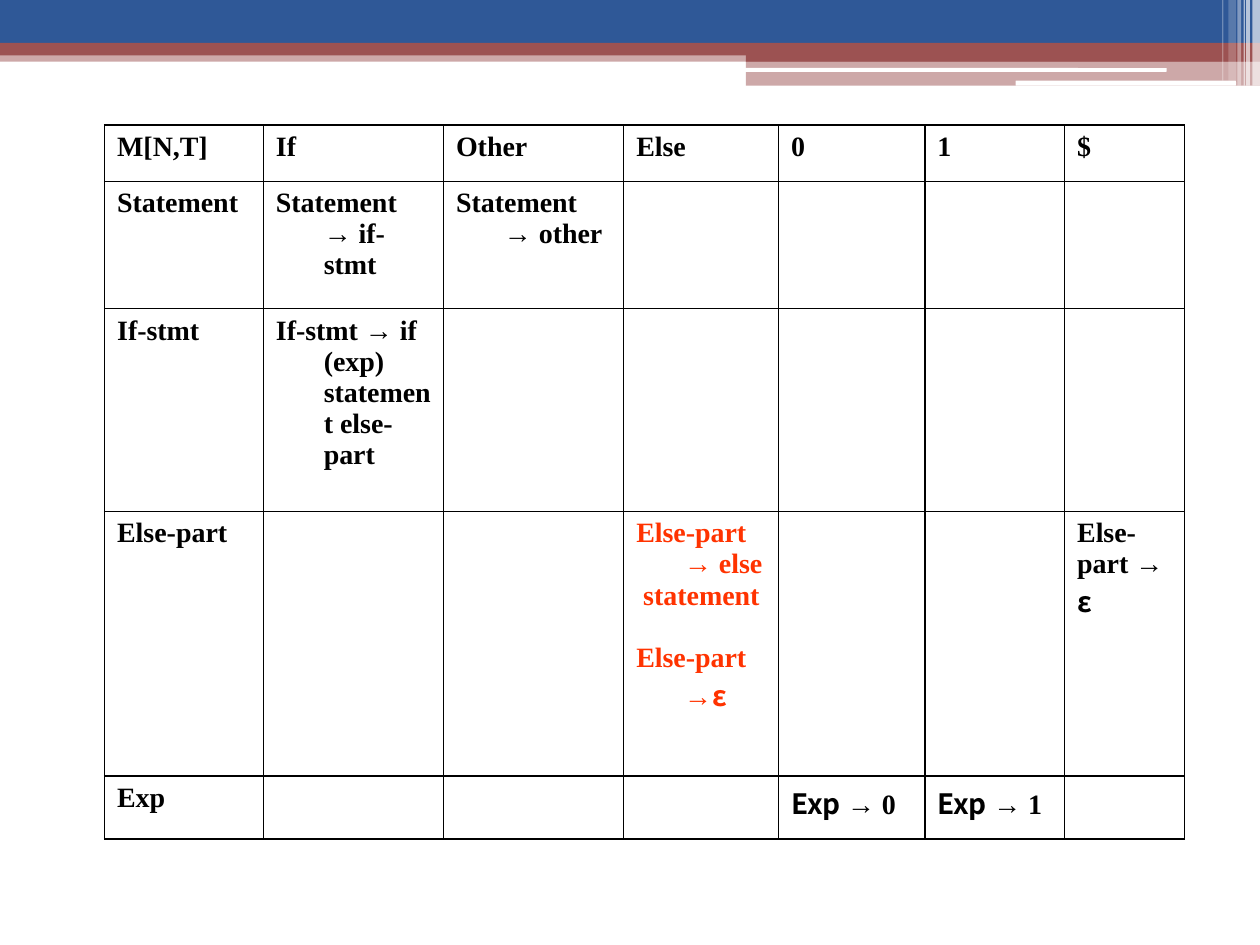
import pptx
import pptx.dml.color
import pptx.enum.shapes
import pptx.oxml.ns
import pptx.util
from lxml import etree

In, Pt = pptx.util.Inches, pptx.util.Pt
qn = pptx.oxml.ns.qn
SHAPE = pptx.enum.shapes.MSO_SHAPE
W, H = 10, 7.5
BLUE, RED, WHITE, BLACK, ORANGE = "2F5897", "9C5252", "FFFFFF", "000000", "FF3300"
SERIF, SANS = "Times New Roman", "Noto Sans CJK SC"


def rgb(hex_color):
    return pptx.dml.color.RGBColor.from_string(hex_color)


def add_bar(slide, box, color, opacity=100, kind=SHAPE.RECTANGLE):
    s = slide.shapes.add_shape(kind, *map(In, box))
    s.shadow.inherit = False
    s.line.fill.background()
    s.fill.solid()
    s.fill.fore_color.rgb = rgb(color)
    if opacity < 100:
        clr = s.fill._xPr.find(".//" + qn("a:srgbClr"))
        etree.SubElement(clr, qn("a:alpha"), val=str(opacity * 1000))
    return s


def add_header(slide, left, top, width):
    split = left + 0.592 * width
    right = left + width
    add_bar(slide, (left, top + 0.4, width, 0.09), RED, 50)
    add_bar(slide, (left, top, width, 0.34), BLUE)
    add_bar(slide, (left, top + 0.34, width, 0.1), RED)
    add_bar(slide, (split, top + 0.39, right - split, 0.1), RED)
    add_bar(slide, (split, top + 0.48, right - split, 0.2), RED, 50)
    for x, y, w, h in ((5.91, 0.54, 3.35, 0.03), (8.06, 0.64, 1.75, 0.04)):
        add_bar(slide, (left + x, top + y, w, h), WHITE, kind=SHAPE.ROUNDED_RECTANGLE)
    # distance from the right edge, width, height, opacity
    for back, w, h, opacity in ((0.06, 0.06, 0.68, 65), (0.11, 0.03, 0.68, 65),
                                (0.13, 0.01, 0.68, 60), (0.18, 0.03, 0.68, 40),
                                (0.25, 0.06, 0.64, 20), (0.3, 0.01, 0.64, 30)):
        add_bar(slide, (right - back, top, w, h), WHITE, opacity)


def set_borders(cell, color, width):
    tc_pr = cell._tc.get_or_add_tcPr()
    for i, side in enumerate(("lnL", "lnR", "lnT", "lnB")):
        ln = etree.Element(qn("a:" + side), w=str(Pt(width)))
        fill = etree.SubElement(ln, qn("a:solidFill"))
        etree.SubElement(fill, qn("a:srgbClr"), val=color)
        tc_pr.insert(i, ln)


def fill_cell(cell, lines, color):
    """Write lines, each a list of (text, font) runs, with a hanging indent."""
    tf = cell.text_frame
    for i, runs in enumerate(lines):
        p = tf.paragraphs[0] if i == 0 else tf.add_paragraph()
        p.font.size, p.font.bold = Pt(16), True
        p.font.color.rgb = rgb(color)
        p_pr = p._p.get_or_add_pPr()
        p_pr.set("marL", str(In(0.38)))
        p_pr.set("indent", str(-In(0.38)))
        for text, font in runs:
            r = p.add_run()
            r.text = text
            r.font.name = font


def add_parse_table(slide, left, top, col_widths, row_heights, rows, special):
    t = slide.shapes.add_table(len(row_heights), len(col_widths), In(left), In(top),
                               In(sum(col_widths)), In(sum(row_heights))).table
    t.first_row = t.horz_banding = False
    for col, w in zip(t.columns, col_widths):
        col.width = In(w)
    for row, h in zip(t.rows, row_heights):
        row.height = In(h)
    for i, row in enumerate(t.rows):
        for j, cell in enumerate(row.cells):
            cell.fill.background()
            set_borders(cell, BLACK, 1)
            text = rows[i][j]
            lines, color = special.get((i, j), ([[(text, SERIF)]] if text else [], BLACK))
            fill_cell(cell, lines, color)
    return t


def main():
    prs = pptx.Presentation()
    prs.slide_width, prs.slide_height = In(W), In(H)
    slide = prs.slides.add_slide(prs.slide_layouts[6])
    add_header(slide, 0, 0, W)

    rows = [
        ["M[N,T]", "If", "Other", "Else", "0", "1", "$"],
        ["Statement", "Statement → if-stmt", "Statement → other", "", "", "", ""],
        ["If-stmt", "If-stmt → if (exp) statement else-part", "", "", "", "", ""],
        ["Else-part", "", "", "", "", "", ""],
        ["Exp", "", "", "", "", "", ""],
    ]
    special = {
        (3, 3): ([[("Else-part → else", SERIF)], [(" statement", SERIF)],
                  [("Else-part →", SERIF), ("ε", SANS)]], ORANGE),
        (3, 6): ([[("Else-", SERIF)], [("part →", SERIF)], [("ε", SANS)]], BLACK),
        (4, 4): ([[("Exp ", SANS), ("→ 0", SERIF)]], BLACK),
        (4, 5): ([[("Exp ", SANS), ("→ 1", SERIF)]], BLACK),
    }
    t = add_parse_table(slide, 0.83, 0.99, (1.26, 1.43, 1.43, 1.23, 1.16, 1.11, 0.95),
                        (0.45, 1.01, 1.61, 2.1, 0.5), rows, special)
    t.cell(3, 3).text_frame.paragraphs[2].space_before = Pt(18)
    prs.save("out.pptx")


if __name__ == "__main__":
    main()
